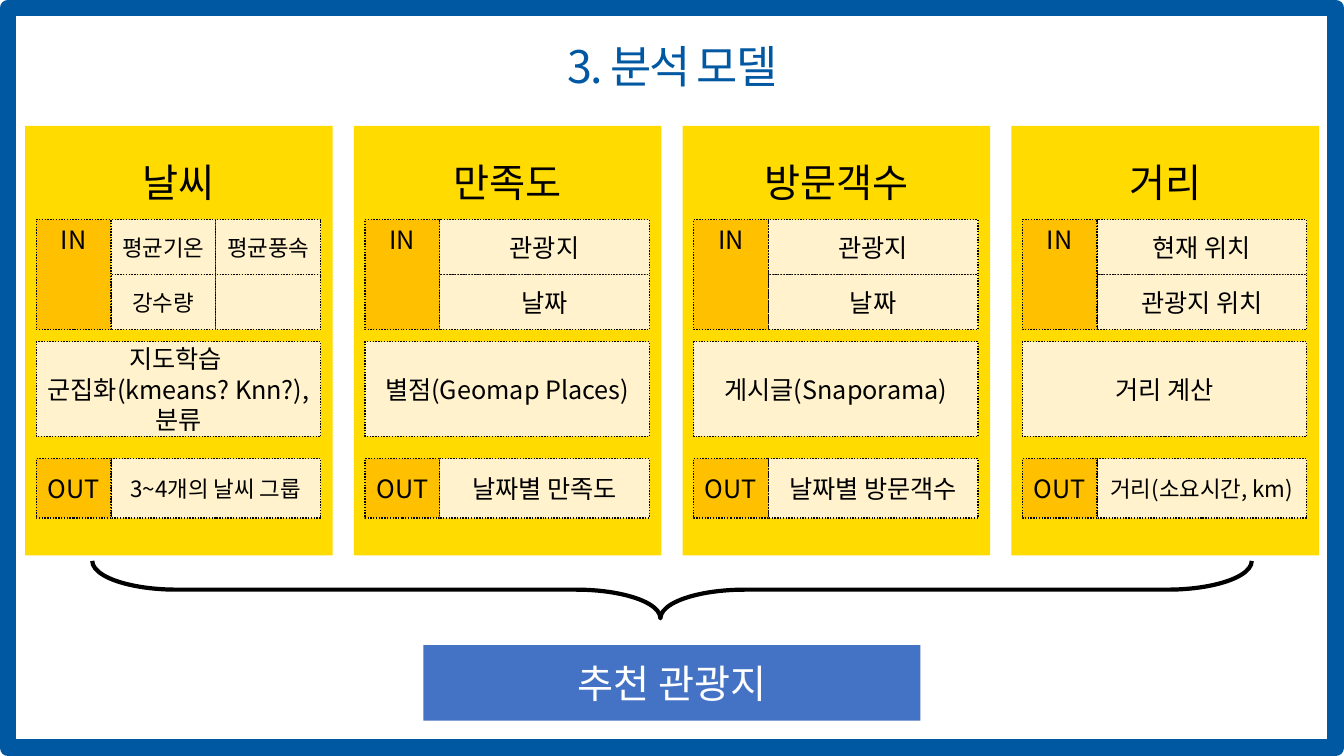
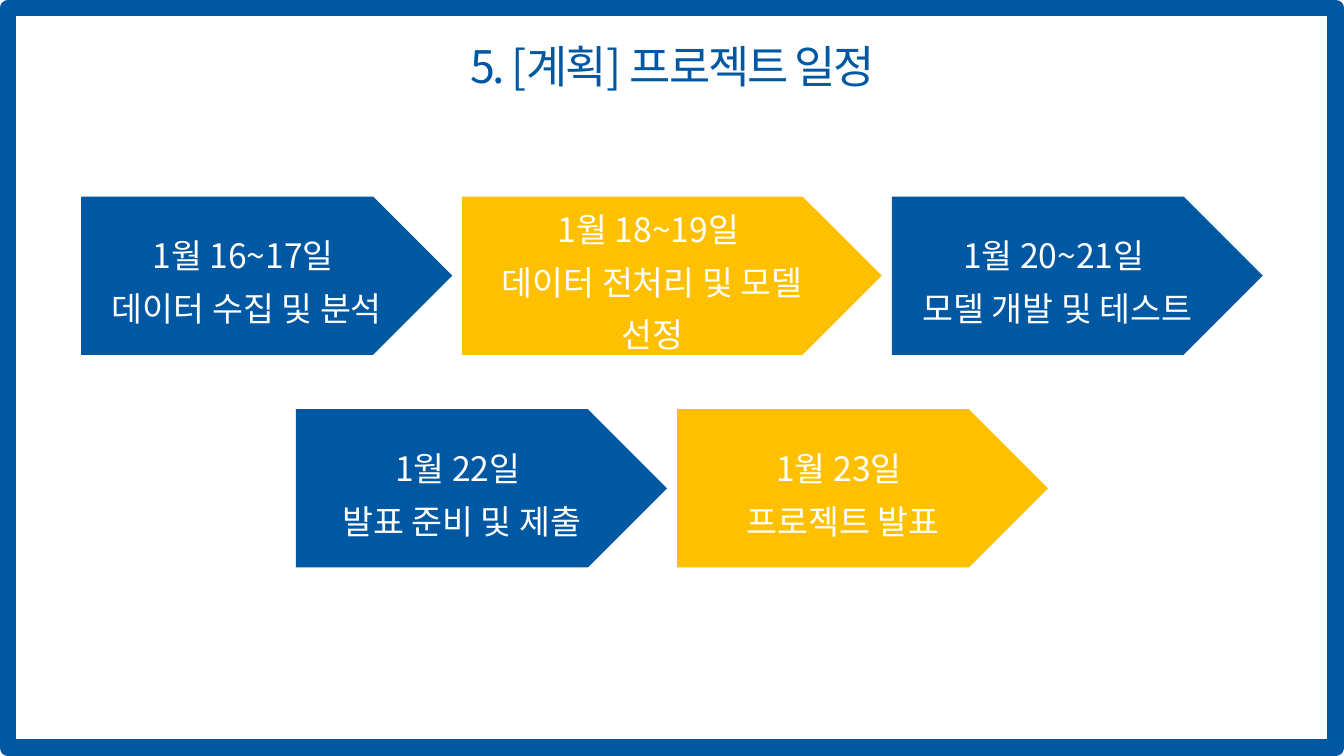
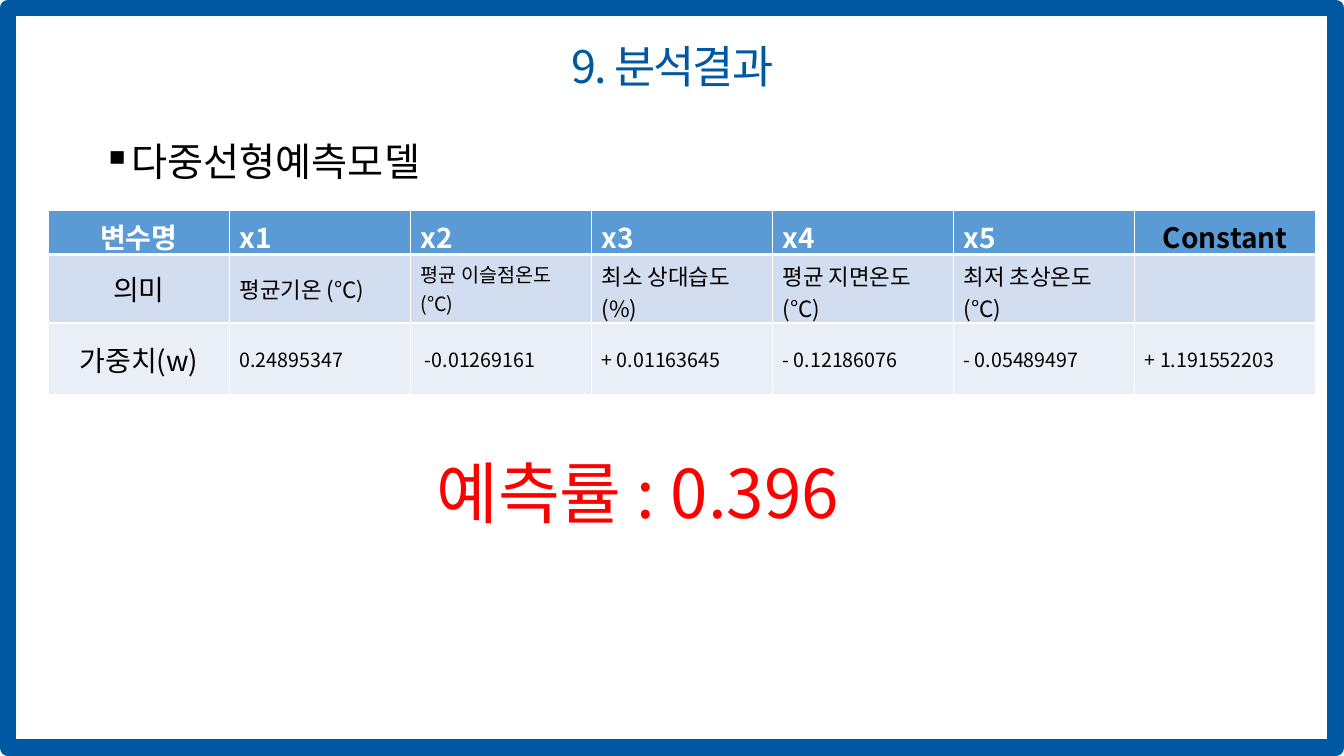
"""Build three slides on a tourist spot recommendation project."""
from dataclasses import dataclass
from typing import NamedTuple

import pptx
import pptx.dml.color
import pptx.enum.dml
import pptx.enum.shapes
import pptx.enum.text
import pptx.oxml
import pptx.oxml.ns
import pptx.util
from lxml import etree

WIDTH, HEIGHT = 13.33, 7.5
FONT = "Noto Sans CJK KR"
BLUE, YELLOW, AMBER, CREAM = "0058A3", "FFDB00", "FFC000", "FFF2CC"
WHITE, BLACK, RED, RESULT_BLUE = "FFFFFF", "000000", "FF0000", "4472C4"
HEADER_FILL, ROW_FILLS = "5B9BD5", ("D2DEEF", "EAEFF7")
ALIGN = pptx.enum.text.PP_ALIGN
ANCHOR = pptx.enum.text.MSO_ANCHOR
SHAPE = pptx.enum.shapes.MSO_SHAPE
DOTTED = pptx.enum.dml.MSO_LINE.ROUND_DOT
CARD_LEFT, CARD_TOP, CARD_WIDTH, CARD_HEIGHT, CARD_PITCH = 0.25, 1.25, 3.05, 4.26, 3.26
CARD_PADDING, TAG_WIDTH, BODY_WIDTH = 0.11, 0.74, 2.08
INPUT_TOP, INPUT_ROW = 2.18, 0.545
MODEL_TOP, MODEL_HEIGHT, OUTPUT_TOP, OUTPUT_HEIGHT = 3.39, 0.94, 4.55, 0.59
STEP_TOP, STEP_PITCH, STEP_HEIGHT, STEP_GAP = 1.95, 2.11, 1.57, 0.1


class Box(NamedTuple):
    """A place on the slide in inches."""

    left: float
    top: float
    width: float
    height: float

    def lengths(self) -> list[pptx.util.Emu]:
        """Return the four lengths for a shape call."""
        return [pptx.util.Inches(value) for value in self]


@dataclass(frozen=True)
class Style:
    """How the text of one shape looks."""

    size: float = 18
    color: str = BLACK
    align: ALIGN = ALIGN.CENTER
    anchor: ANCHOR = ANCHOR.MIDDLE
    bold: bool = False
    line_spacing: float | None = None
    tracking: int = 0


@dataclass(frozen=True)
class Outline:
    """The line around a shape."""

    color: str
    width: float
    dash: pptx.enum.dml.MSO_LINE | None = None


@dataclass(frozen=True)
class Card:
    """One analysis model with inputs, method and output."""

    title: str
    inputs: tuple[tuple[str, ...], ...]
    model: str
    output: str
    input_size: int = 18
    output_size: int = 18


@dataclass(frozen=True)
class Step:
    """One arrow of the schedule."""

    text: str
    width: float = 3.68


DOTS = Outline(BLACK, 1, DOTTED)
TITLE = Style(32, BLUE, line_spacing=0.9, tracking=-150)

CARDS = (
    Card("날씨", (("평균기온", "평균풍속"), ("강수량", "")),
         "지도학습 \n군집화(kmeans? Knn?), 분류", "3~4개의 날씨 그룹", 16, 16),
    Card("만족도", (("관광지",), ("날짜",)), "별점(Geomap Places)", "날짜별 만족도"),
    Card("방문객수", (("관광지",), ("날짜",)), "게시글(Snaporama)", "날짜별 방문객수"),
    Card("거리", (("현재 위치",), ("관광지 위치",)), "거리 계산", "거리(소요시간, km)", output_size=16),
)

SCHEDULE = (
    (Step("1월 16~17일 \n데이터 수집 및 분석"),
     Step("1월 18~19일 \n데이터 전처리 및 모델 선정", 4.16),
     Step("1월 20~21일 \n모델 개발 및 테스트")),
    (Step("1월 22일 \n발표 준비 및 제출"), Step("1월 23일 \n프로젝트 발표")),
)

HEADERS = ("변수명", "x1", "x2", "x3", "x4", "x5", "Constant")
MEANINGS = ("의미", "평균기온 (°C)", "평균 이슬점온도(°C)", "최소 상대습도(%)",
            "평균 지면온도(°C)", "최저 초상온도(°C)", "")
WEIGHTS = ("가중치(w)", "0.24895347", " -0.01269161", "+ 0.01163645",
           "- 0.12186076", "- 0.05489497", "+ 1.191552203")
MEANING_SIZES = (20, 16, 14, 16, 16, 16, 16)
WEIGHT_SIZES = (20,) + (14,) * 6
ROW_HEIGHTS = (0.39, 0.68, 0.71)


def rgb(color: str) -> pptx.dml.color.RGBColor:
    """Turn a hex string into a colour."""
    return pptx.dml.color.RGBColor.from_string(color)


def write(frame, text: str, style: Style) -> None:
    """Fill a text frame, one paragraph a line."""
    frame.word_wrap = True
    frame.vertical_anchor = style.anchor
    for index, line in enumerate(text.split("\n")):
        paragraph = frame.add_paragraph() if index else frame.paragraphs[0]
        paragraph.text = line
        format_paragraph(paragraph, style)


def format_paragraph(paragraph, style: Style) -> None:
    """Give a paragraph its alignment and font."""
    paragraph.alignment = style.align
    if style.line_spacing:
        paragraph.line_spacing = style.line_spacing
    font = paragraph.font
    font.name, font.size, font.bold = FONT, pptx.util.Pt(style.size), style.bold
    font.color.rgb = rgb(style.color)
    properties = paragraph._p.pPr.find(pptx.oxml.ns.qn("a:defRPr"))
    east_asian = etree.Element(pptx.oxml.ns.qn("a:ea"), typeface=FONT)
    properties.find(pptx.oxml.ns.qn("a:latin")).addnext(east_asian)
    if style.tracking:
        properties.set("spc", str(style.tracking))


def add_text(slide, box: Box, text: str, style: Style):
    """Add a text box."""
    shape = slide.shapes.add_textbox(*box.lengths())
    write(shape.text_frame, text, style)
    return shape


def add_shape(slide, kind: SHAPE, box: Box, fill: str | None = None,
              outline: Outline | None = None, text: str = "", style: Style = Style()):
    """Add a preset shape with optional fill, line and text."""
    shape = slide.shapes.add_shape(kind, *box.lengths())
    shape.shadow.inherit = False
    if fill:
        shape.fill.solid()
        shape.fill.fore_color.rgb = rgb(fill)
    else:
        shape.fill.background()
    if outline:
        shape.line.color.rgb = rgb(outline.color)
        shape.line.width = pptx.util.Pt(outline.width)
        if outline.dash:
            shape.line.dash_style = outline.dash
    else:
        shape.line.fill.background()
    if text:
        write(shape.text_frame, text, style)
    return shape


def add_slide(presentation, title: str):
    """Add a blank slide with the frame and the title."""
    slide = presentation.slides.add_slide(presentation.slide_layouts[6])
    inset = 0.08
    add_shape(slide, SHAPE.RECTANGLE, Box(inset, inset, WIDTH - 2 * inset, HEIGHT - 2 * inset),
              outline=Outline(BLUE, 12))
    add_text(slide, Box(0.92, 0.39, 11.5, 0.59), title, TITLE)
    return slide


def add_card(slide, column: int, card: Card) -> None:
    """Draw one model card in its column."""
    left = CARD_LEFT + column * CARD_PITCH
    tag_left = left + CARD_PADDING
    body_left = tag_left + TAG_WIDTH

    def cell(box: Box, fill: str, text: str, style: Style = Style()) -> None:
        """Draw one dotted cell of the card."""
        add_shape(slide, SHAPE.RECTANGLE, box, fill, DOTS, text, style)

    add_shape(slide, SHAPE.RECTANGLE, Box(left, CARD_TOP, CARD_WIDTH, CARD_HEIGHT), YELLOW)
    add_text(slide, Box(left, 1.52, CARD_WIDTH, 0.57), card.title, Style(28))
    cell(Box(tag_left, MODEL_TOP, TAG_WIDTH + BODY_WIDTH, MODEL_HEIGHT), CREAM, card.model)
    cell(Box(body_left, OUTPUT_TOP, BODY_WIDTH, OUTPUT_HEIGHT), CREAM, card.output,
         Style(card.output_size))
    cell(Box(tag_left, OUTPUT_TOP, TAG_WIDTH, OUTPUT_HEIGHT), AMBER, "OUT")
    for row, names in enumerate(card.inputs):
        width = BODY_WIDTH / len(names)
        for position, name in enumerate(names):
            cell(Box(body_left + position * width, INPUT_TOP + row * INPUT_ROW, width, INPUT_ROW),
                 CREAM, name, Style(card.input_size))
    cell(Box(tag_left, INPUT_TOP, TAG_WIDTH, len(card.inputs) * INPUT_ROW), AMBER, "IN",
         Style(anchor=ANCHOR.TOP))


def build_models(presentation) -> None:
    """Build the slide of the analysis models."""
    slide = add_slide(presentation, "3. 분석 모델")
    for column, card in enumerate(CARDS):
        add_card(slide, column, card)
    brace = add_shape(slide, SHAPE.RIGHT_BRACE, Box(6.38, 0.1, 0.57, 11.5),
                      outline=Outline(BLACK, 3))
    brace.rotation = 90
    brace.adjustments[0], brace.adjustments[1] = 1.47, 0.51
    add_shape(slide, SHAPE.RECTANGLE, Box(4.2, 6.4, 4.93, 0.75), RESULT_BLUE,
              text="추천 관광지", style=Style(28, WHITE))


def build_schedule(presentation) -> None:
    """Build the slide of the schedule, each row centred."""
    slide = add_slide(presentation, "5. [계획] 프로젝트 일정")
    for row, steps in enumerate(SCHEDULE):
        total = sum(step.width for step in steps) + STEP_GAP * (len(steps) - 1)
        left = (WIDTH - total) / 2
        for index, step in enumerate(steps):
            box = Box(left, STEP_TOP + row * STEP_PITCH, step.width, STEP_HEIGHT)
            add_shape(slide, SHAPE.PENTAGON, box, (BLUE, AMBER)[index % 2], text=step.text,
                      style=Style(24, WHITE, line_spacing=1.3))
            left += step.width + STEP_GAP


def set_borders(cell, top: float, bottom: float) -> None:
    """Draw white borders around a table cell."""
    properties = cell._tc.get_or_add_tcPr()
    widths = {"lnL": 1, "lnR": 1, "lnT": top, "lnB": bottom}
    for position, (tag, width) in enumerate(widths.items()):
        line = etree.Element(pptx.oxml.ns.qn(f"a:{tag}"), w=str(pptx.util.Pt(width)))
        fill = etree.SubElement(line, pptx.oxml.ns.qn("a:solidFill"))
        etree.SubElement(fill, pptx.oxml.ns.qn("a:srgbClr"), val=WHITE)
        properties.insert(position, line)


def fill_cell(cell, text: str, fill: str, style: Style) -> None:
    """Give a table cell its fill and text."""
    cell.fill.solid()
    cell.fill.fore_color.rgb = rgb(fill)
    cell.vertical_anchor = style.anchor
    paragraph = cell.text_frame.paragraphs[0]
    paragraph.text = text
    format_paragraph(paragraph, style)


def add_weights(slide) -> None:
    """Add the table of variables and weights."""
    box = Box(0.48, 2.09, 12.57, sum(ROW_HEIGHTS))
    table = slide.shapes.add_table(len(ROW_HEIGHTS), len(HEADERS), *box.lengths()).table
    for column in table.columns:
        column.width = pptx.util.Inches(box.width / len(HEADERS))
    for row, height in zip(table.rows, ROW_HEIGHTS):
        row.height = pptx.util.Inches(height)
    last = len(HEADERS) - 1
    for column, header in enumerate(HEADERS):
        align = ALIGN.CENTER if column in (0, last) else ALIGN.LEFT
        color = BLACK if column == last else WHITE
        cell = table.cell(0, column)
        fill_cell(cell, header, HEADER_FILL, Style(20, color, align, ANCHOR.TOP, bold=True))
        set_borders(cell, 1, 3)
    body = ((MEANINGS, MEANING_SIZES), (WEIGHTS, WEIGHT_SIZES))
    for row, (texts, sizes) in enumerate(body):
        for column, (text, size) in enumerate(zip(texts, sizes)):
            align = ALIGN.LEFT if column else ALIGN.CENTER
            cell = table.cell(row + 1, column)
            fill_cell(cell, text, ROW_FILLS[row], Style(size, align=align))
            set_borders(cell, 1 if row else 3, 1)


def add_bullet(paragraph, symbol: str, indent: float) -> None:
    """Give a paragraph a hanging bullet."""
    properties = paragraph._p.pPr
    length = pptx.util.Inches(indent)
    properties.set("marL", str(length))
    properties.set("indent", str(-length))
    bullet = etree.Element(pptx.oxml.ns.qn("a:buChar"), char=symbol)
    properties.find(pptx.oxml.ns.qn("a:defRPr")).addprevious(bullet)


def build_results(presentation) -> None:
    """Build the slide of the results."""
    slide = add_slide(presentation, "9. 분석결과")
    add_weights(slide)
    add_text(slide, Box(4.23, 4.43, 4.55, 0.91), "예측률 : 0.396",
             Style(48, RED, ALIGN.LEFT, ANCHOR.TOP))
    heading = add_text(slide, Box(0.92, 1.37, 11.5, 5.39), "다중선형예측모델",
                       Style(28, align=ALIGN.LEFT, anchor=ANCHOR.TOP, line_spacing=0.9))
    paragraph = heading.text_frame.paragraphs[0]
    paragraph.space_before = pptx.util.Pt(10)
    add_bullet(paragraph, "▪", 0.25)


def main() -> None:
    """Build and save the presentation."""
    presentation = pptx.Presentation()
    presentation.slide_width = pptx.util.Inches(WIDTH)
    presentation.slide_height = pptx.util.Inches(HEIGHT)
    build_models(presentation)
    build_schedule(presentation)
    build_results(presentation)
    presentation.save("out.pptx")


if __name__ == "__main__":
    main()
